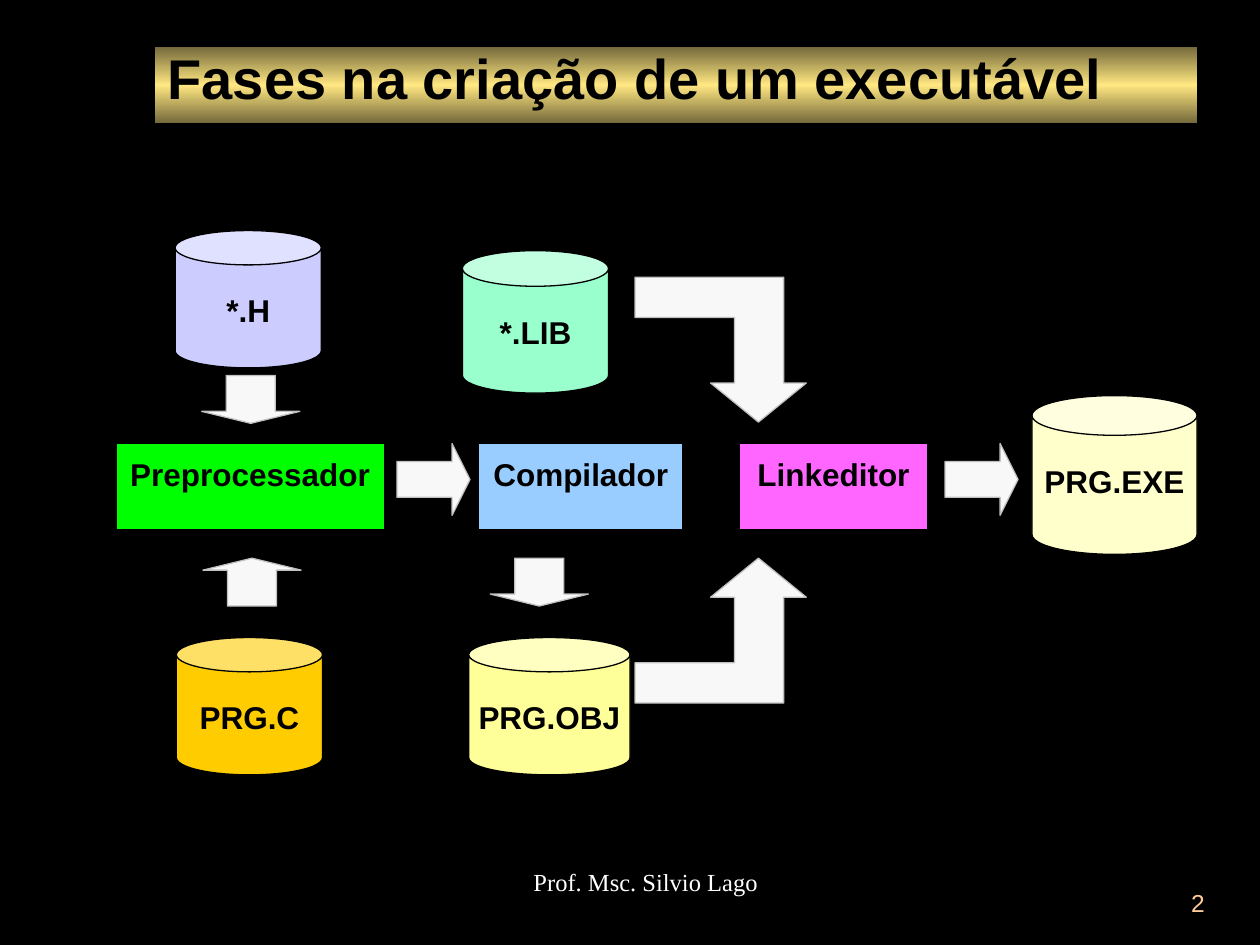
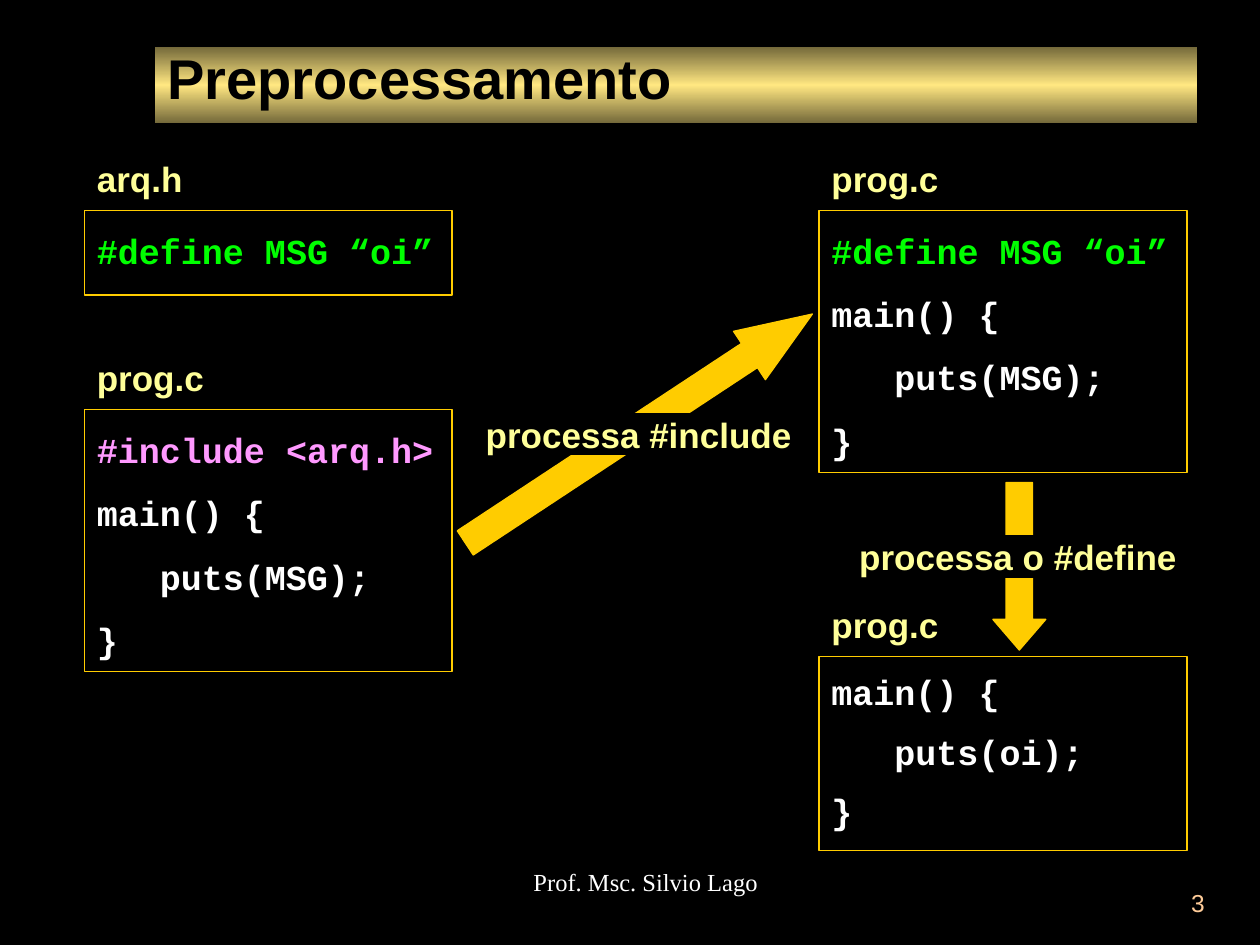
import copy

import pptx
import pptx.dml.color
import pptx.enum.shapes
import pptx.enum.text
import pptx.oxml.ns
import pptx.util

Inches = pptx.util.Inches
Pt = pptx.util.Pt
RGBColor = pptx.dml.color.RGBColor
SHAPE = pptx.enum.shapes.MSO_SHAPE
ALIGN = pptx.enum.text.PP_ALIGN
ANCHOR = pptx.enum.text.MSO_ANCHOR
qn = pptx.oxml.ns.qn

BLACK = RGBColor(0x00, 0x00, 0x00)
WHITE = RGBColor(0xFF, 0xFF, 0xFF)
BRONZE = RGBColor(0x73, 0x68, 0x3A)
LIGHT_GOLD = RGBColor(0xFF, 0xE7, 0x81)
GOLD = RGBColor(0xFF, 0xCC, 0x00)
PALE_YELLOW = RGBColor(0xFF, 0xFF, 0x99)
CREAM = RGBColor(0xFF, 0xFF, 0xCC)
PEACH = RGBColor(0xFF, 0xCC, 0x99)
GREEN = RGBColor(0x00, 0xFF, 0x00)
MINT = RGBColor(0x99, 0xFF, 0xCC)
SKY = RGBColor(0x99, 0xCC, 0xFF)
LAVENDER = RGBColor(0xCC, 0xCC, 0xFF)
MAGENTA = RGBColor(0xFF, 0x66, 0xFF)
PINK = RGBColor(0xFF, 0x99, 0xFF)
ARROW_FILL = RGBColor(0xF8, 0xF8, 0xF8)
ARROW_LINE = RGBColor(0xC0, 0xC0, 0xC0)

FOOTER = "Prof. Msc. Silvio Lago"
PHASES_TITLE = "Fases na criação de um executável"
PREPROCESSING_TITLE = "Preprocessamento"

FILES = [
    ("*.H", LAVENDER, (1.39, 1.83, 1.16, 1.09)),
    ("*.LIB", MINT, (3.67, 1.99, 1.16, 1.13)),
    ("PRG.C", GOLD, (1.4, 5.06, 1.16, 1.09)),
    ("PRG.OBJ", PALE_YELLOW, (3.72, 5.06, 1.28, 1.09)),
    ("PRG.EXE", CREAM, (8.19, 3.14, 1.31, 1.26)),
]
PHASE_TOP, PHASE_HEIGHT = 3.52, 0.68
PHASES = [
    ("Preprocessador", GREEN, 0.92, 2.13),
    ("Compilador", SKY, 3.8, 1.62),
    ("Linkeditor", MAGENTA, 5.87, 1.49),
]
VERTICAL_ARROW_SIZE = (0.78, 0.38)
RIGHT_ARROW_SIZE = (0.58, 0.57)
FLOW_ARROWS = [
    (SHAPE.DOWN_ARROW, (1.6, 2.98), VERTICAL_ARROW_SIZE),
    (SHAPE.UP_ARROW, (1.61, 4.43), VERTICAL_ARROW_SIZE),
    (SHAPE.DOWN_ARROW, (3.89, 4.43), VERTICAL_ARROW_SIZE),
    (SHAPE.RIGHT_ARROW, (3.15, PHASE_TOP), RIGHT_ARROW_SIZE),
    (SHAPE.RIGHT_ARROW, (7.5, PHASE_TOP), RIGHT_ARROW_SIZE),
]
BENT_LEFT, BENT_HEIGHT = 5.04, 1.15
BENT_OUTLINE = [
    (0, 0.83), (0.79, 0.83), (0.79, 0.31), (0.6, 0.31), (0.98, 0),
    (1.36, 0.31), (1.18, 0.31), (1.18, 1.15), (0, 1.15),
]
BENT_ARROWS = [(2.2, True), (4.43, False)]

DEFINE = ("#define MSG “oi”", GREEN, 0)
INCLUDE = ("#include <arq.h>", PINK, 0)
MAIN = ("main() {", WHITE, 0)
PUTS_MSG = ("puts(MSG);", WHITE, 0.5)
PUTS_OI = ("puts(oi);", WHITE, 0.5)
END = ("}", WHITE, 0)
LISTINGS = [
    ("prog.c", 0.67, 3.25, 2.08, 1.3, [INCLUDE, MAIN, PUTS_MSG, END]),
    ("arq.h", 0.67, 1.67, 0.67, 1.3, [DEFINE]),
    ("prog.c", 6.5, 1.67, 2.08, 1.3, [DEFINE, MAIN, PUTS_MSG, END]),
    ("prog.c", 6.5, 5.21, 1.54, 1.2, [MAIN, PUTS_OI, END]),
]
LISTING_WIDTH, LABEL_WIDTH, LABEL_HEIGHT, LABEL_RISE = 2.92, 1.79, 0.33, 0.42
STEPS = [
    ("processa #include", (4, 3.28, 2.14), (4.84, 1.75, 0.46, 3.3), 236.6, 1.3),
    ("processa o #define", (7.08, 4.25, 2), (7.88, 3.83, 0.42, 1.33), 0, 0.58),
]


def set_font(paragraph, name, size, color, bold=True):
    font = paragraph.font
    font.name, font.size, font.bold = name, Pt(size), bold
    font.color.rgb = color


def set_margins(frame, left, top, right, bottom):
    frame.margin_left, frame.margin_top = Inches(left), Inches(top)
    frame.margin_right, frame.margin_bottom = Inches(right), Inches(bottom)


def style(shape, fill, line, width=0.75):
    shape.shadow.inherit = False
    if fill is None:
        shape.fill.background()
    else:
        shape.fill.solid()
        shape.fill.fore_color.rgb = fill
    shape.line.color.rgb = line
    shape.line.width = Pt(width)


def add_shape(slide, kind, box, fill, line, width=0.75):
    shape = slide.shapes.add_shape(kind, *map(Inches, box))
    style(shape, fill, line, width)
    return shape


def add_caption(slide, box, text, alignment, name, size, color):
    frame = slide.shapes.add_textbox(*map(Inches, box)).text_frame
    frame.word_wrap = True
    paragraph = frame.paragraphs[0]
    paragraph.text, paragraph.alignment = text, alignment
    set_font(paragraph, name, size, color, bold=False)
    return paragraph


def fill_title_band(title):
    title.fill.gradient()
    title.fill.gradient_angle = 90
    stop_list = title.element.spPr.find(".//" + qn("a:gsLst"))
    stop_list.append(copy.deepcopy(stop_list[0]))
    for stop, position, color in zip(
            title.fill.gradient_stops, (0, 0.5, 1), (BRONZE, LIGHT_GOLD, BRONZE)):
        stop.position = position
        stop.color.rgb = color


def add_slide(presentation, title_text, number):
    slide = presentation.slides.add_slide(presentation.slide_layouts[5])
    title = slide.shapes.title
    title.left, title.top = Inches(1.23), Inches(0.37)
    title.width, title.height = Inches(8.27), Inches(0.61)
    fill_title_band(title)
    frame = title.text_frame
    frame.text = title_text
    frame.auto_size = pptx.enum.text.MSO_AUTO_SIZE.NONE
    frame.vertical_anchor = ANCHOR.MIDDLE
    set_margins(frame, 0.1, 0, 0.1, 0.13)
    frame.paragraphs[0].alignment = ALIGN.LEFT
    set_font(frame.paragraphs[0], "Arial", 32, BLACK)
    footer = add_caption(slide, (3.42, 6.83, 3.17, 0.5), FOOTER, ALIGN.CENTER,
                         "Times New Roman", 14, WHITE)
    set_indent(footer, 0.24)
    add_caption(slide, (7.58, 7, 2.08, 0.5), str(number), ALIGN.RIGHT, "Arial", 14, PEACH)
    return slide


def set_indent(paragraph, indent):
    properties = paragraph._p.get_or_add_pPr()
    properties.set("marL", str(Inches(indent)))
    properties.set("indent", "0")


def add_node(slide, kind, box, text, fill, top_margin):
    node = add_shape(slide, kind, box, fill, BLACK)
    frame = node.text_frame
    frame.text = text
    frame.word_wrap = True
    frame.vertical_anchor = ANCHOR.TOP
    set_margins(frame, 0.02, top_margin, 0.02, 0.09)
    frame.paragraphs[0].alignment = ALIGN.CENTER
    set_font(frame.paragraphs[0], "Arial", 18, BLACK)


def add_bent_arrow(slide, top, points_down):
    points = [
        (Inches(BENT_LEFT + x), Inches(top + (BENT_HEIGHT - y if points_down else y)))
        for x, y in BENT_OUTLINE
    ]
    builder = slide.shapes.build_freeform(*points[0])
    builder.add_line_segments(points[1:], close=True)
    style(builder.convert_to_shape(), ARROW_FILL, ARROW_LINE)


def add_label(slide, box, text, alignment):
    frame = add_shape(slide, SHAPE.RECTANGLE, box, BLACK, BLACK).text_frame
    frame.text = text
    frame.word_wrap = alignment == ALIGN.LEFT
    frame.vertical_anchor = ANCHOR.MIDDLE
    frame.paragraphs[0].alignment = alignment
    set_font(frame.paragraphs[0], "Arial", 20, PALE_YELLOW)


def add_listing(slide, file_name, left, top, height, spacing, lines):
    add_label(slide, (left, top - LABEL_RISE, LABEL_WIDTH, LABEL_HEIGHT), file_name, ALIGN.LEFT)
    box = (left, top, LISTING_WIDTH, height)
    frame = add_shape(slide, SHAPE.RECTANGLE, box, None, GOLD, 1).text_frame
    frame.word_wrap = True
    frame.vertical_anchor = ANCHOR.TOP
    frame.text = "\n".join(text for text, _, _ in lines)
    for paragraph, (_, color, indent) in zip(frame.paragraphs, lines):
        paragraph.alignment = ALIGN.LEFT
        paragraph.line_spacing = spacing
        paragraph.space_before = Pt(5)
        set_indent(paragraph, indent)
        set_font(paragraph, "Courier New", 20, color)


def build_phases(presentation):
    slide = add_slide(presentation, PHASES_TITLE, 2)
    for text, fill, box in FILES:
        add_node(slide, SHAPE.CAN, box, text, fill, 0.21)
    for text, fill, left, width in PHASES:
        box = (left, PHASE_TOP, width, PHASE_HEIGHT)
        add_node(slide, SHAPE.RECTANGLE, box, text, fill, 0.09)
    for kind, position, size in FLOW_ARROWS:
        arrow = add_shape(slide, kind, position + size, ARROW_FILL, ARROW_LINE)
        arrow.adjustments[1] = 0.25
    for top, points_down in BENT_ARROWS:
        add_bent_arrow(slide, top, points_down)


def build_preprocessing(presentation):
    slide = add_slide(presentation, PREPROCESSING_TITLE, 3)
    for listing in LISTINGS:
        add_listing(slide, *listing)
    for text, label_box, arrow_box, rotation, head_length in STEPS:
        arrow = add_shape(slide, SHAPE.DOWN_ARROW, arrow_box, GOLD, GOLD)
        arrow.rotation = rotation
        arrow.adjustments[1] = head_length
        add_label(slide, label_box + (LABEL_HEIGHT,), text, ALIGN.CENTER)


def main():
    presentation = pptx.Presentation()
    presentation.slide_width, presentation.slide_height = Inches(10), Inches(7.5)
    background = presentation.slide_master.background.fill
    background.solid()
    background.fore_color.rgb = BLACK
    build_phases(presentation)
    build_preprocessing(presentation)
    presentation.save("out.pptx")


if __name__ == "__main__":
    main()
